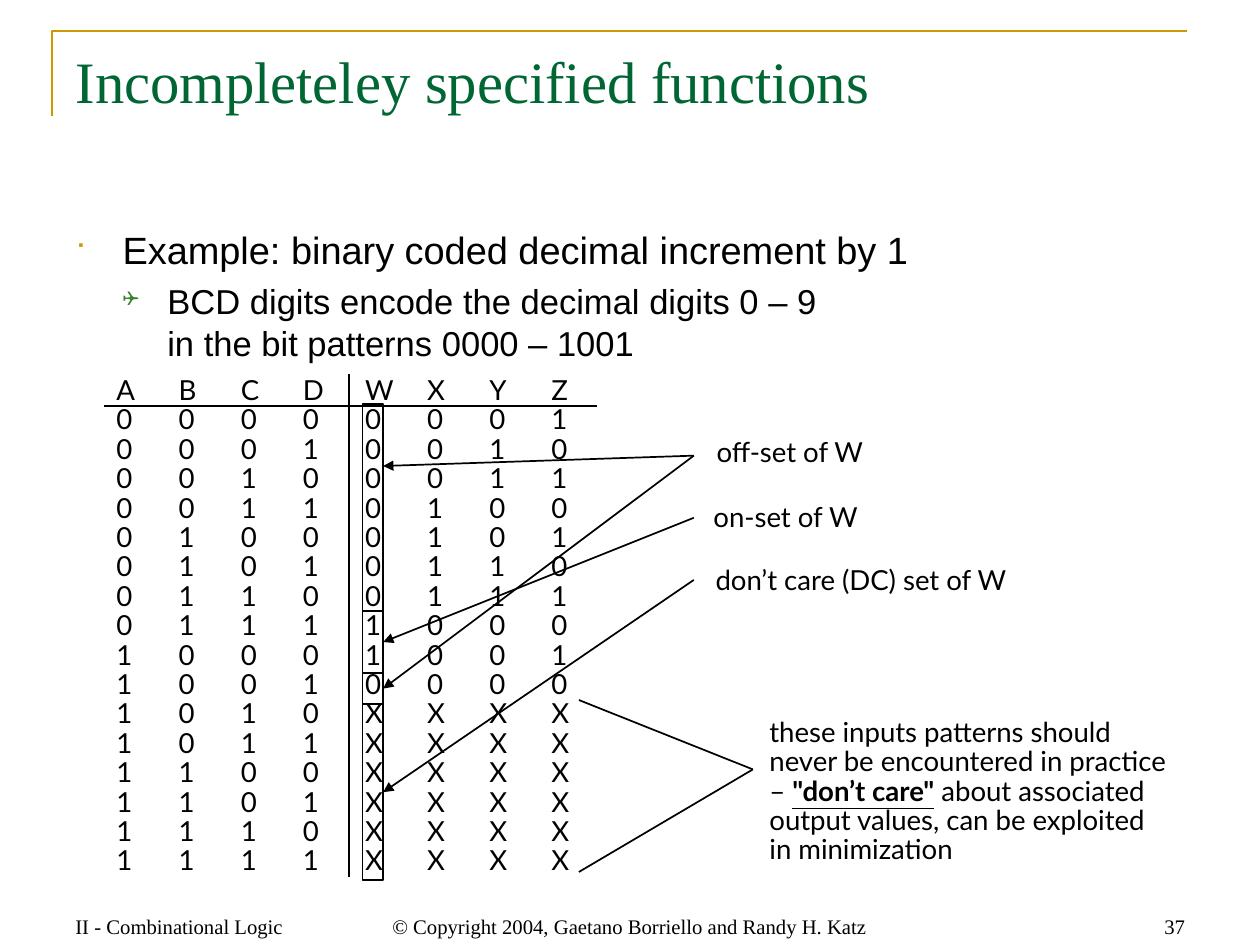
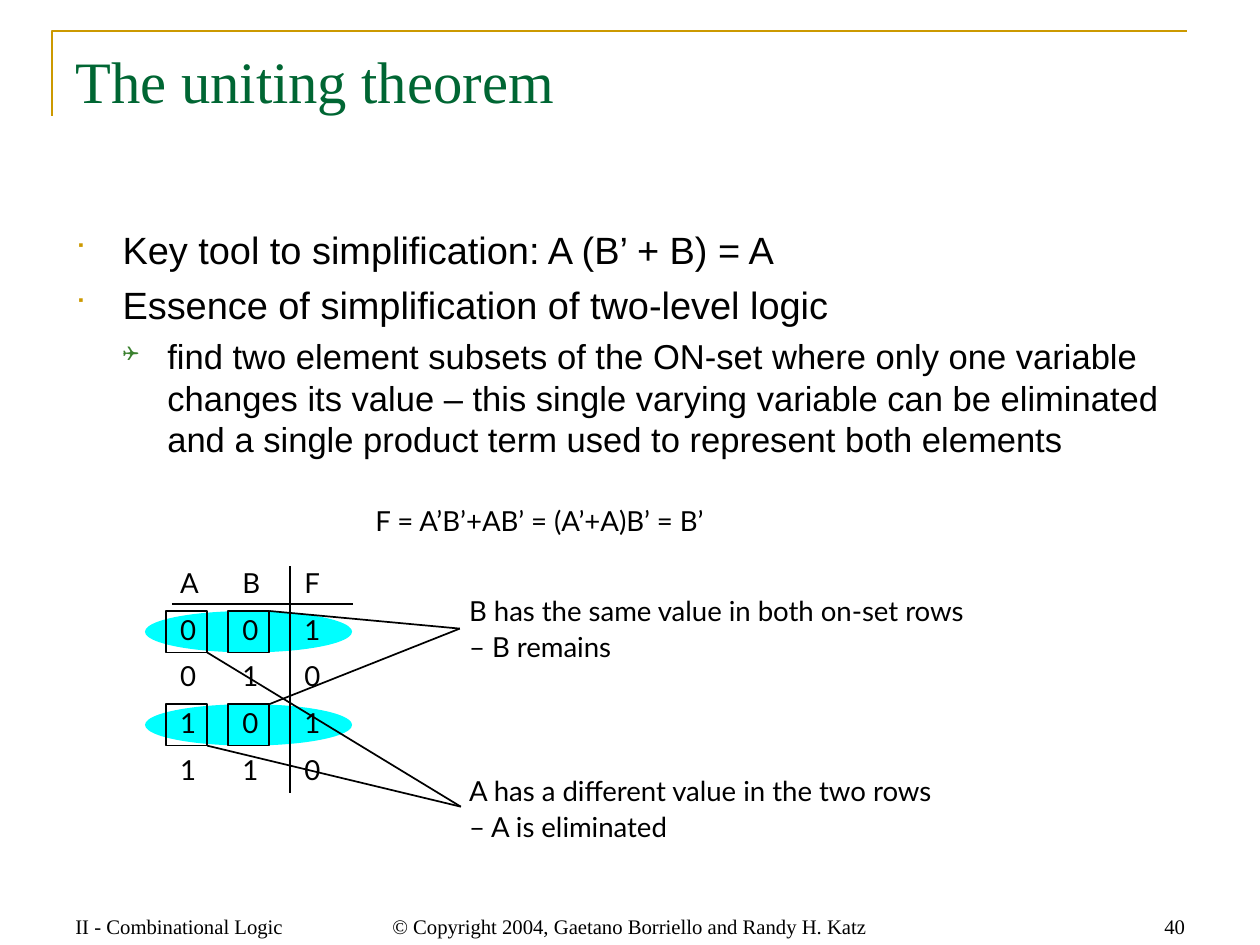
from dataclasses import dataclass
from lxml.etree import SubElement
from pptx import Presentation
from pptx.dml.color import RGBColor
from pptx.enum.shapes import MSO_CONNECTOR as Link, MSO_SHAPE as Kind
from pptx.enum.text import MSO_ANCHOR as Anchor, MSO_AUTO_SIZE as Fit, PP_ALIGN as Align
from pptx.oxml.ns import qn
from pptx.util import Inches, Pt


@dataclass(frozen=True)
class Theme:
    ink: str = "000000"
    gold: str = "CC9900"
    green: str = "006633"
    leaf: str = "3B812F"
    cyan: str = "00FFFF"
    serif: str = "Times New Roman"
    sans: str = "Arial"
    note: str = "Lato"
    signs: str = "Wingdings"
    title: int = 34
    main: int = 22
    sub: int = 20
    label: int = 16
    foot: int = 12


T = Theme()
LEFT, FULL = 6.1, 109.4  # left edge and width of the content, in grid units
RIGHT = 3  # connection site on a rectangle
PLAIN = "{2D5ABB26-0587-4C30-8999-92F81FD0307C}"  # table style without grid


def grid(*units):
    """Turn grid units (twelve to the inch) into lengths."""
    return [round(u * Inches(1) / 12) for u in units]


def tint(code):
    return RGBColor.from_string(code)


# Text
def write(frame, text, size=T.label, font=T.note, color=T.ink, align=Align.LEFT,
          lead=None, before=0, bullet=None):
    """Add a paragraph; *stars* mark strong words, a newline breaks the line."""
    para = frame.add_paragraph() if frame.text else frame.paragraphs[0]
    para.alignment = align
    para.space_before = Pt(before)
    if lead:
        para.line_spacing = Pt(lead)
    if bullet:
        mark(para, *bullet)
    for i, part in enumerate(text.split("*")):
        for j, line in enumerate(part.split("\n")):
            if j:
                para.add_line_break()
            if not line:
                continue
            run = para.add_run()
            run.text = line
            run.font.size, run.font.name = Pt(size), font
            run.font.color.rgb = tint(color)
            if i % 2:
                run.font.bold = run.font.underline = True


def mark(para, sign, color, share, indent, hang):
    props = para._p.get_or_add_pPr()
    props.set("marL", str(Inches(indent)))
    props.set("indent", str(-Inches(hang)))
    SubElement(SubElement(props, qn("a:buClr")), qn("a:srgbClr")).set("val", color)
    SubElement(props, qn("a:buSzPct")).set("val", str(share * 1000))
    SubElement(props, qn("a:buFont")).set("typeface", T.signs)
    SubElement(props, qn("a:buChar")).set("char", sign)


def box(slide, x, y, w, h, pad=True, anchor=Anchor.TOP):
    frame = slide.shapes.add_textbox(*grid(x, y, w, h)).text_frame
    frame.word_wrap = True
    frame.vertical_anchor = anchor
    if not pad:
        frame.margin_left = frame.margin_right = 0
        frame.margin_top = frame.margin_bottom = 0
    return frame


def label(slide, x, y, text, w=42, h=4, lead=17):
    write(box(slide, x, y, w, h, pad=False), text, lead=lead)


def points(slide, *items):
    """Bulleted body text; each item is a level and its words."""
    looks = (
        dict(size=T.main, before=5.5, bullet=("■", T.gold, 65, 0.38, 0.38)),
        dict(size=T.sub, before=5, bullet=("❑", T.leaf, 60, 0.74, 0.36)),
    )
    frame = box(slide, LEFT, 21.25, FULL, 60)
    for i, (level, text) in enumerate(items):
        look = looks[level] if i else {**looks[level], "before": 0}
        write(frame, text, font=T.sans, **look)
        frame.paragraphs[-1].level = level


# Drawing
def shape(slide, kind, x, y, w, h, fill=None, line=None):
    form = slide.shapes.add_shape(kind, *grid(x, y, w, h))
    form.shadow.inherit = False
    paint(form, fill, line)
    return form


def paint(form, fill, line, width=1):
    if fill:
        form.fill.solid()
        form.fill.fore_color.rgb = tint(fill)
    else:
        form.fill.background()
    if line:
        form.line.color.rgb = tint(line)
        form.line.width = Pt(width)
    else:
        form.line.fill.background()


def frame_box(slide, x, y, w, h):
    return shape(slide, Kind.RECTANGLE, x, y, w, h, line=T.ink)


def rule(slide, start, end, arrow=False, join=None):
    """Straight line; join names the rectangle whose right side it meets."""
    link = slide.shapes.add_connector(Link.STRAIGHT, *grid(*start, *end))
    if join:
        link.end_connect(join, RIGHT)
    link.line.color.rgb = tint(T.ink)
    link.line.width = Pt(1)
    if arrow:
        SubElement(link.line._get_or_add_ln(), qn("a:tailEnd")).set("type", "triangle")
    SubElement(link._element.spPr, qn("a:effectLst"))


def truth(slide, x, y, rows, pitch, lead):
    """Truth table with columns six units wide and rows pitch points high."""
    wide, high = len(rows[0]), len(rows)
    part = slide.shapes.add_table(high, wide, *grid(x, y, wide * 6, high * pitch / 6))
    table = part.table
    table.first_row = table.horz_banding = False
    next(part._element.iter(qn("a:tableStyleId"))).text = PLAIN
    for col in table.columns:
        col.width = grid(6)[0]
    for r, row in enumerate(rows):
        table.rows[r].height = Pt(pitch)
        for c, sign in enumerate(row):
            cell = table.cell(r, c)
            cell.fill.background()
            cell.margin_left = cell.margin_right = 0
            cell.margin_top = cell.margin_bottom = 0
            write(cell.text_frame, sign, lead=lead)


# Parts that the slides share
def corner(slide):
    """Draw the gold corner line and hand it to the layout."""
    start, *rest = [grid(*p) for p in ((5.04, 11.16), (5.04, 3), (114.6, 3))]
    path = slide.shapes.build_freeform(*start)
    path.add_line_segments(rest, close=False)
    form = path.convert_to_shape()
    form.shadow.inherit = False
    paint(form, None, T.gold, 1.5)
    slide.slide_layout.shapes._spTree.append(form._element)


def start(deck, title, number):
    slide = deck.slides.add_slide(deck.slide_layouts[5])
    head = slide.shapes.title
    head.left, head.top, head.width, head.height = grid(LEFT, 3.7, FULL, 15.1)
    head.text_frame.vertical_anchor = Anchor.TOP
    head.text_frame.auto_size = Fit.NONE
    write(head.text_frame, title, size=T.title, font=T.serif, color=T.green)
    for x, w, align, text in (
        (LEFT, 28.4, Align.LEFT, "II - Combinational Logic"),
        (34.8, 52, Align.CENTER, "© Copyright 2004, Gaetano Borriello and Randy H. Katz"),
        (87.2, 28.4, Align.RIGHT, str(number)),
    ):
        foot = box(slide, x, 85.1, w, 6.1, anchor=Anchor.BOTTOM)
        write(foot, text, size=T.foot, font=T.serif, align=align)
    return slide


# Slides
def partial(deck):
    slide = start(deck, "Incompleteley specified functions", 37)
    corner(slide)
    points(slide, (0, "Example: binary coded decimal increment by 1"),
           (1, "BCD digits encode the decimal digits 0 – 9\nin the bit patterns 0000 – 1001"))

    # Increment table
    rows = ["ABCDWXYZ"]
    for n in range(16):
        rows.append(f"{n:04b}" + (f"{(n + 1) % 10:04b}" if n < 10 else "XXXX"))
    truth(slide, 11.25, 36.4, rows, pitch=17, lead=17)
    rule(slide, (10, 39.24), (57.6, 39.24))
    rule(slide, (33.72, 36.1), (33.72, 84.7))

    # Sets in column W
    edges = (39, 59, 65, 68, 85)
    _, on, off, care = [frame_box(slide, 35, top, 2, low - top)
                        for top, low in zip(edges, edges[1:])]
    for y, end, join in ((44, 45, None), (44, 66.5, off), (50, 62, on), (56, 76.5, care)):
        rule(slide, (67, y), (37, end), arrow=True, join=join)
    label(slide, 69.2, 42.4, "off-set of W")
    label(slide, 68.9, 48.6, "on-set of W")
    label(slide, 69.1, 54.75, "don’t care (DC) set of W")

    # Remark on the unused patterns
    for y in (67.6, 84.2):
        rule(slide, (55.9, y), (72.7, 74.3))
    label(slide, 74.3, 69.4, "these inputs patterns should\nnever be encountered in practice\n"
          "– *\"don’t care\"* about associated\noutput values, can be exploited\nin minimization",
          h=15)


def unite(deck):
    slide = start(deck, "The uniting theorem", 40)
    points(slide, (0, "Key tool to simplification: A (B’ + B) = A"),
           (0, "Essence of simplification of two-level logic"),
           (1, "find two element subsets of the ON-set where only one variable changes its "
               "value – this single varying variable can be eliminated and a single product "
               "term used to represent both elements"))
    label(slide, 36.25, 48.4, "F = A’B’+AB’ = (A’+A)B’ = B’", lead=21)

    # Truth table over the marked rows
    tops, side = (59, 68), 4
    for y in tops:
        shape(slide, Kind.OVAL, 14, y, 20, side, fill=T.cyan)
    rows = ["ABF"] + [f"{a}{b}{1 - b}" for a in (0, 1) for b in (0, 1)]
    truth(slide, 17.4, 54.9, rows, pitch=27, lead=18)
    rule(slide, (16.6, 58.3), (34.1, 58.3))
    rule(slide, (28, 54.7), (28, 76.6))

    # One remark for each variable: column, corner offset, line end, text top
    for x, drop, end, top, text in (
        (22, 0, (44.4, 60.7), 57, "B has the same value in both on-set rows\n– B remains"),
        (16, side, (44.5, 77.9), 74.4, "A has a different value in the two rows\n– A is eliminated"),
    ):
        for y in tops:
            frame_box(slide, x, y, side, side)
            rule(slide, (x + side, y + drop), end)
        label(slide, 45.3, top, text, w=60, h=8, lead=21)


def main():
    deck = Presentation()
    deck.slide_width = Pt(730)
    deck.slide_height = Pt(547.5)
    partial(deck)
    unite(deck)
    deck.save("out.pptx")


if __name__ == "__main__":
    main()
